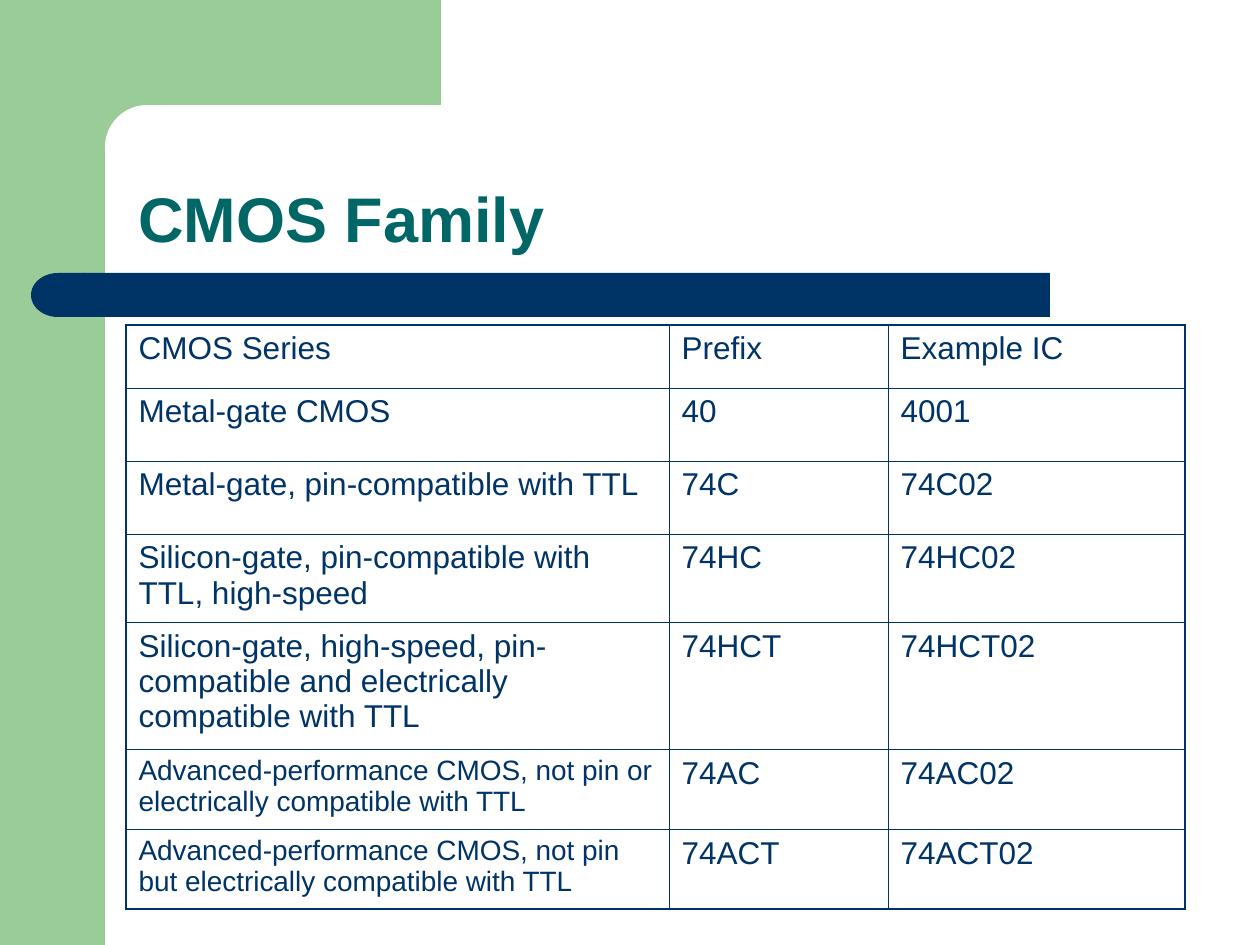
"""Build the CMOS Family slide with its side panel, title bar and series table."""
import lxml.etree
import pptx
import pptx.dml.color
import pptx.enum.shapes
import pptx.enum.text
import pptx.oxml.ns
import pptx.util

SCALE = 914400 / 126
THEME = {
    "font": "Arial",
    "green": "99CC99",
    "navy": "003366",
    "teal": "006666",
    "white": "FFFFFF",
    "title_size": 36,
    "cell_size": 18,
    "small_size": 16,
    "outer_line": 1.08,
    "inner_line": 0.45,
}


def px(*lengths):
    return [pptx.util.Emu(round(length * SCALE)) for length in lengths]


def write_text(frame, text, size, color, bold=False):
    para = frame.paragraphs[0]
    span = para.add_run()
    span.text = text
    formats = {"name": THEME["font"], "size": pptx.util.Pt(size), "bold": bold}
    for name, value in formats.items():
        setattr(span.font, name, value)
    span.font.color.rgb = pptx.dml.color.RGBColor.from_string(THEME[color])
    return para


deck = pptx.Presentation()
deck.slide_width, deck.slide_height = px(1260, 945)
page = deck.slides.add_slide(deck.slide_layouts[6])

kinds = pptx.enum.shapes.MSO_SHAPE
decorations = [
    (kinds.RECTANGLE, (0, 0, 105, 945), "green", None, False),
    (kinds.RECTANGLE, (94, 0, 347, 147), "green", None, False),
    (kinds.ROUNDED_RECTANGLE, (105, 105, 703, 84), "white", 0.5, False),
    (kinds.ROUNDED_RECTANGLE, (84, 273, 966, 44), "navy", 0, False),
    (kinds.FLOWCHART_DELAY, (31, 273, 54, 44), "navy", None, True),
]
for kind, bounds, color, rounding, flipped in decorations:
    shape = page.shapes.add_shape(kind, *px(*bounds))
    shape.shadow.inherit = False
    shape.fill.solid()
    shape.fill.fore_color.rgb = pptx.dml.color.RGBColor.from_string(THEME[color])
    shape.line.fill.background()
    if rounding is not None:
        shape.adjustments[0] = rounding
    if flipped:
        shape.element.spPr.find(pptx.oxml.ns.qn("a:xfrm")).set("flipH", "1")

title = page.shapes.add_textbox(*px(126, 105, 1102, 157))
title.text_frame.word_wrap = True
title.text_frame.vertical_anchor = pptx.enum.text.MSO_ANCHOR.BOTTOM
heading = write_text(title.text_frame, "CMOS Family", THEME["title_size"], "teal", True)
heading.line_spacing = 0.9

series = [
    ("CMOS Series", "Prefix", "Example IC"),
    ("Metal-gate CMOS", "40", "4001"),
    ("Metal-gate, pin-compatible with TTL", "74C", "74C02"),
    ("Silicon-gate, pin-compatible with TTL, high-speed", "74HC", "74HC02"),
    ("Silicon-gate, high-speed, pin-compatible and electrically compatible with TTL", "74HCT", "74HCT02"),
    ("Advanced-performance CMOS, not pin or electrically compatible with TTL", "74AC", "74AC02"),
    ("Advanced-performance CMOS, not pin but electrically compatible with TTL", "74ACT", "74ACT02"),
]
widths = px(543, 219, 297)
heights = px(63, 73, 73, 88, 127, 80, 80)
last_row, last_column = len(heights) - 1, len(widths) - 1
table = page.shapes.add_table(
    len(heights), len(widths), *px(126, 325), sum(widths), sum(heights)
).table
table.first_row = False
table.horz_banding = False
for column, width in zip(table.columns, widths):
    column.width = width
for row, height in zip(table.rows, heights):
    row.height = height

for row_index, entries in enumerate(series):
    for column_index, entry in enumerate(entries):
        cell = table.cell(row_index, column_index)
        small = entry.startswith("Advanced")
        write_text(cell.text_frame, entry, THEME["small_size" if small else "cell_size"], "navy")
        cell.fill.background()
        outer_edges = {
            "lnL": column_index == 0,
            "lnR": column_index == last_column,
            "lnT": row_index == 0,
            "lnB": row_index == last_row,
        }
        properties = cell._tc.get_or_add_tcPr()
        for position, (edge, outer) in enumerate(outer_edges.items()):
            points = THEME["outer_line" if outer else "inner_line"]
            border = lxml.etree.Element(pptx.oxml.ns.qn(f"a:{edge}"), w=str(pptx.util.Pt(points)))
            fill = lxml.etree.SubElement(border, pptx.oxml.ns.qn("a:solidFill"))
            lxml.etree.SubElement(fill, pptx.oxml.ns.qn("a:srgbClr"), val=THEME["navy"])
            properties.insert(position, border)

deck.save("out.pptx")
